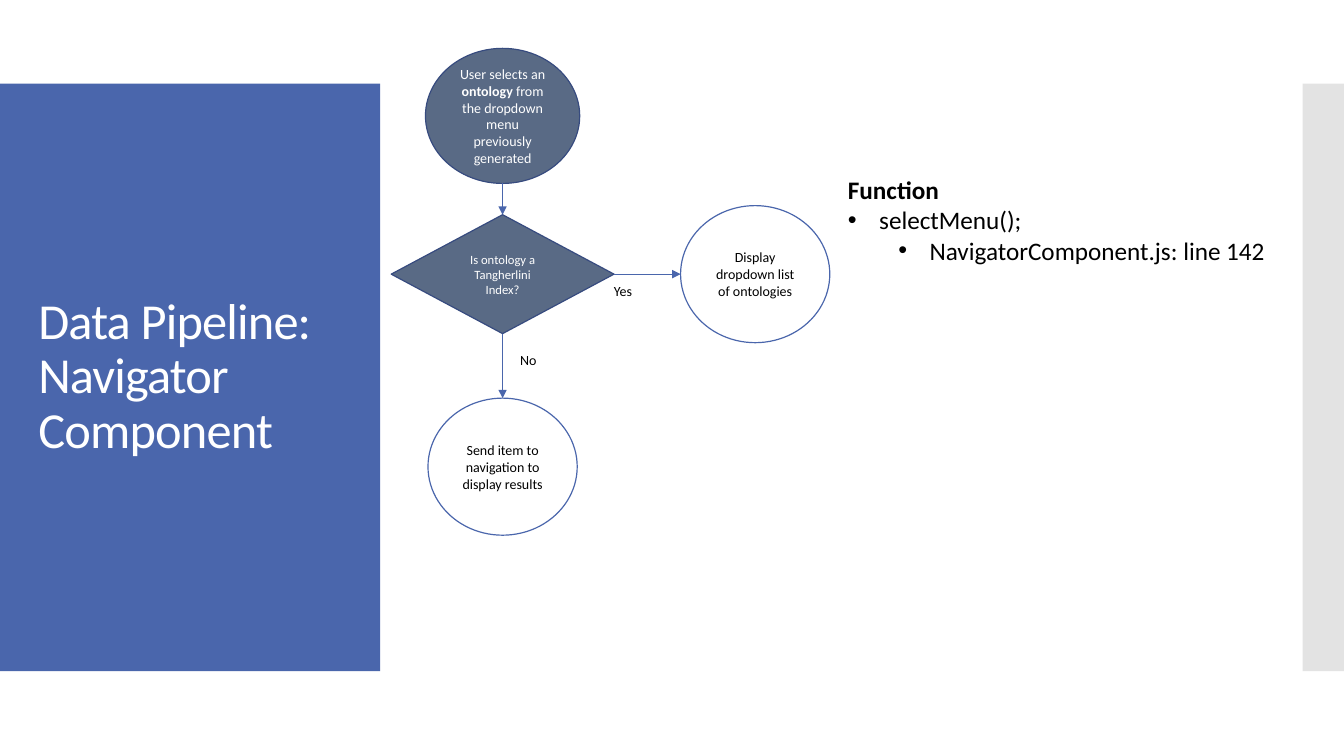
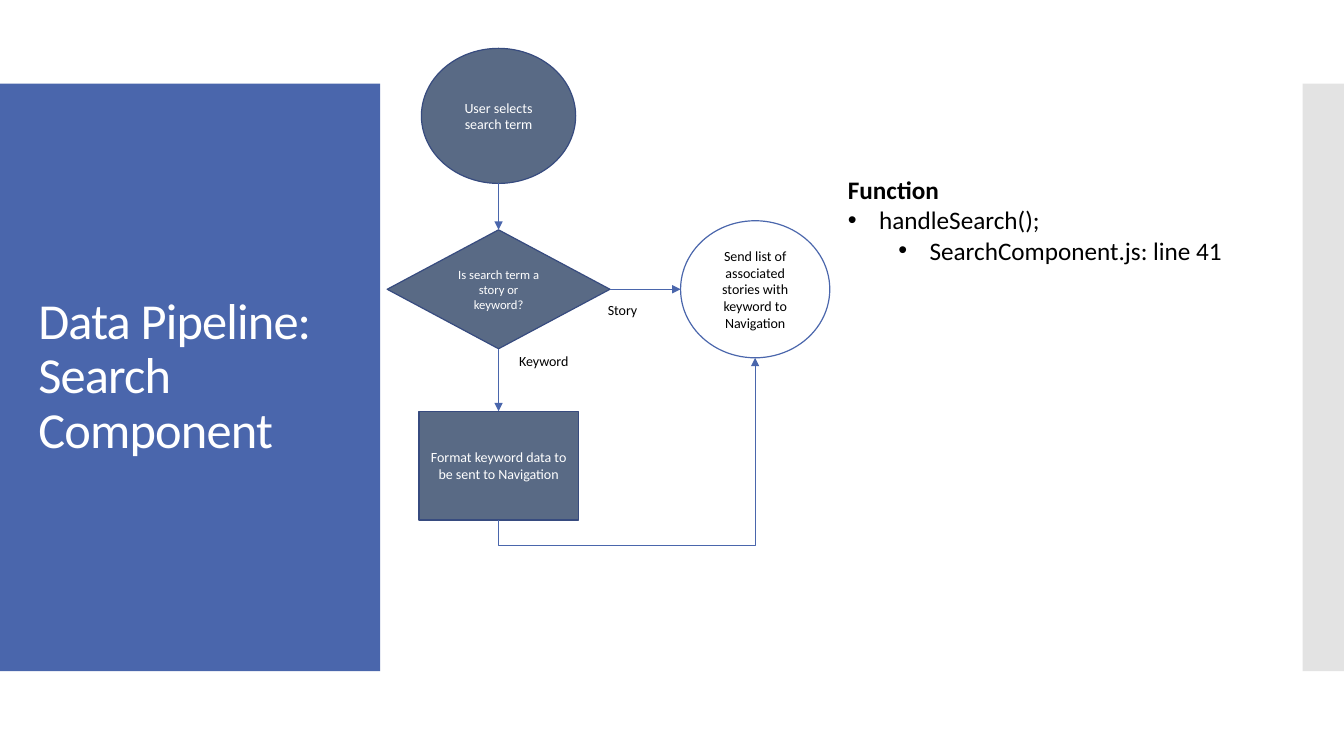
from lxml import etree
from pptx import Presentation
from pptx import util as u
from pptx.dml.color import RGBColor
from pptx.enum import shapes, text
from pptx.oxml.ns import qn

HUE = {"blue": "4A66AC", "slate": "596A85", "edge": "374B7F",
       "grey": "C8C8C8", "white": "FFFFFF", "black": "000000"}
BANDS = [(0, 0.83, 3.77, 5.83, "blue", 100), (12.92, 0.83, 0.42, 5.83, "grey", 50)]
LOOK = {"dark": ("slate", "edge", "white"), "light": ("white", "blue", "black")}
KIND = {
    "start": ("OVAL", 1.53, 1.34, "dark", 10),
    "choice": ("DIAMOND", 2.21, 1.18, "dark", 9),
    "result": ("OVAL", 1.48, 1.36, "light", 10),
    "step": ("RECTANGLE", 1.58, 1.08, "dark", 10),
}
TOP, SIDE = 0.48, 7.49
DECK = [
    {"title": "Data Pipeline: Navigator Component",
     "axis": 4.985, "tops": (2.13, 3.95),
     "start": [("User selects an ", False), ("ontology ", True),
               ("from the dropdown menu previously generated", False)],
     "choice": "Is ontology a Tangherlini Index?",
     "side": "Display dropdown list of ontologies",
     "end": ("result", "Send item to navigation to display results"),
     "labels": [("No", 5.06, 3.44, 1.19), ("Yes", 5.99, 2.75, 0.96)],
     "list": ["Function", "selectMenu();", "NavigatorComponent.js: line 142"],
     "loop": False},
    {"title": "Data Pipeline: Search Component",
     "axis": 4.945, "tops": (2.28, 4.08),
     "start": "User selects search term",
     "choice": "Is search term a story or keyword?",
     "side": "Send list of associated stories with keyword to Navigation",
     "end": ("step", "Format keyword data to be sent to Navigation"),
     "labels": [("Keyword", 5.05, 3.45, 1.19), ("Story", 5.93, 2.94, 0.96)],
     "list": ["Function", "handleSearch();", "SearchComponent.js: line 41"],
     "loop": True},
]


def rgb(name):
    return RGBColor.from_string(HUE[name])


def put(item, **vals):
    for key, val in vals.items():
        setattr(item, key, val)


def place(item, *box):
    put(item, **dict(zip(("left", "top", "width", "height"), map(u.Inches, box))))


def write(para, words, size, color, bold=False):
    runs = [(words, bold)] if isinstance(words, str) else words
    for part, heavy in runs:
        run = para.add_run()
        run.text = part
        put(run.font, name="Calibri", size=u.Pt(size), bold=heavy)
        run.font.color.rgb = rgb(color)


def band(slide, tree, x, y, w, h, color, alpha):
    shape = slide.shapes.add_shape(shapes.MSO_SHAPE.RECTANGLE,
                                   *map(u.Inches, (x, y, w, h)))
    shape.shadow.inherit = False
    shape.fill.solid()
    shape.fill.fore_color.rgb = rgb(color)
    shape.line.fill.background()
    tint = next(shape.element.iter(qn("a:srgbClr")))
    etree.SubElement(tint, qn("a:alpha"), val=str(alpha * 1000))
    tree.insert(2, shape.element)


def node(slide, kind, mid, top, words):
    form, w, h, look, size = KIND[kind]
    fill, edge, ink = LOOK[look]
    shape = slide.shapes.add_shape(getattr(shapes.MSO_SHAPE, form),
                                   *map(u.Inches, (mid - w / 2, top, w, h)))
    shape.shadow.inherit = False
    shape.fill.solid()
    shape.fill.fore_color.rgb = rgb(fill)
    shape.line.color.rgb = rgb(edge)
    shape.line.width = u.Pt(0.85)
    frame = shape.text_frame
    put(frame, word_wrap=True, vertical_anchor=text.MSO_ANCHOR.MIDDLE)
    para = frame.paragraphs[0]
    para.alignment = text.PP_ALIGN.CENTER
    write(para, words, size, ink)


def arrow(slide, x1, y1, x2, y2, kind="STRAIGHT"):
    line = slide.shapes.add_connector(getattr(shapes.MSO_CONNECTOR, kind),
                                      *map(u.Inches, (x1, y1, x2, y2)))
    line.line.color.rgb = rgb("blue")
    line.line.width = u.Pt(0.75)
    props = line.element.spPr
    etree.SubElement(props.find(qn("a:ln")), qn("a:tailEnd"), type="triangle")
    etree.SubElement(props, qn("a:effectLst"))
    return line


def loop(slide, x1, y1, x2, y2, drop):
    line = arrow(slide, x1, y1, x2, y2, "ELBOW")
    w, h = y1 - y2, x2 - x1
    place(line, (x1 + x2 - w) / 2, (y1 + y2 - h) / 2, w, h)
    props = line.element.spPr
    turn = props.find(qn("a:xfrm"))
    for key, val in {"rot": "5400000", "flipH": "1", "flipV": "1"}.items():
        turn.set(key, val)
    etree.SubElement(next(props.iter(qn("a:avLst"))), qn("a:gd"), name="adj1",
                     fmla=f"val {round(-drop / w * 100000)}")


def head(slide, words):
    title = slide.shapes.title
    place(title, 0.28, 1.23, 3.22, 5.03)
    frame = title.text_frame
    put(frame, word_wrap=True, auto_size=text.MSO_AUTO_SIZE.NONE,
        vertical_anchor=text.MSO_ANCHOR.MIDDLE)
    para = frame.paragraphs[0]
    put(para, alignment=text.PP_ALIGN.LEFT, line_spacing=0.9)
    write(para, words, 36, "white")
    next(title.element.iter(qn("a:rPr"))).set("spc", "-60")


def outline(slide, rows):
    body = slide.placeholders[1]
    place(body, 8.31, 1.68, 4.49, 1.01)
    frame = body.text_frame
    put(frame, word_wrap=True, auto_size=text.MSO_AUTO_SIZE.NONE,
        vertical_anchor=text.MSO_ANCHOR.TOP)
    for i, words in enumerate(rows):
        para = frame.add_paragraph() if i else frame.paragraphs[0]
        put(para, level=max(i - 1, 0), space_before=u.Pt(0))
        write(para, words, 18, "black", i == 0)
        props = list(body.element.iter(qn("a:pPr")))[-1]
        left, hang = (0.31 + 0.5 * (i - 1), -0.31) if i else (0, 0)
        props.set("marL", str(u.Inches(left)))
        props.set("indent", str(u.Inches(hang)))
        if i:
            etree.SubElement(props, qn("a:buFont"), typeface="Arial")
            etree.SubElement(props, qn("a:buChar"), char="•")
        else:
            etree.SubElement(props, qn("a:buNone"))


def label(slide, words, x, y, w):
    box = slide.shapes.add_textbox(*map(u.Inches, (x, y, w, 0.27)))
    box.text_frame.word_wrap = True
    write(box.text_frame.paragraphs[0], words, 10, "black")


def flow(slide, data):
    mid, (fork, low) = data["axis"], data["tops"]
    wide, tall = KIND["choice"][1:3]
    round_w, round_h = KIND["result"][1:3]
    row = fork + tall / 2
    kind, words = data["end"]
    node(slide, "start", mid, TOP, data["start"])
    node(slide, "choice", mid, fork, data["choice"])
    node(slide, "result", SIDE, row - round_h / 2, data["side"])
    node(slide, kind, mid, low, words)
    arrow(slide, mid, TOP + KIND["start"][2], mid, fork)
    arrow(slide, mid, fork + tall, mid, low)
    arrow(slide, mid + wide / 2, row, SIDE - round_w / 2, row)
    if data["loop"]:
        loop(slide, mid, low + KIND[kind][2], SIDE, row + round_h / 2, 0.25)
    for item in data["labels"]:
        label(slide, *item)


deck = Presentation()
put(deck, slide_width=u.Inches(13.33), slide_height=u.Inches(7.5))
base = deck.slide_layouts[1]
for n, data in enumerate(DECK):
    slide = deck.slides.add_slide(base)
    if n == 0:
        for item in BANDS:
            band(slide, base.shapes.element, *item)
    head(slide, data["title"])
    flow(slide, data)
    outline(slide, data["list"])
deck.save("out.pptx")
